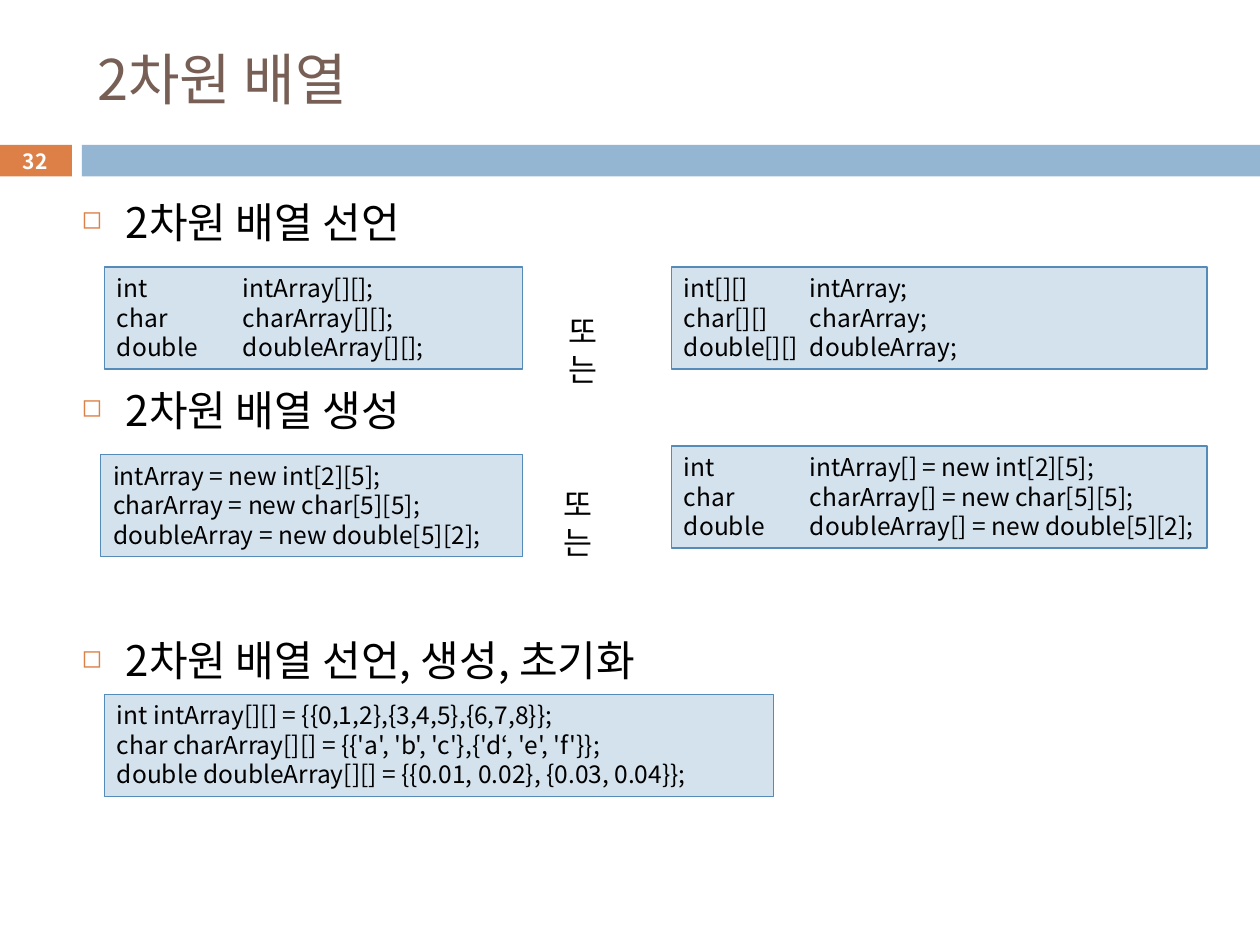
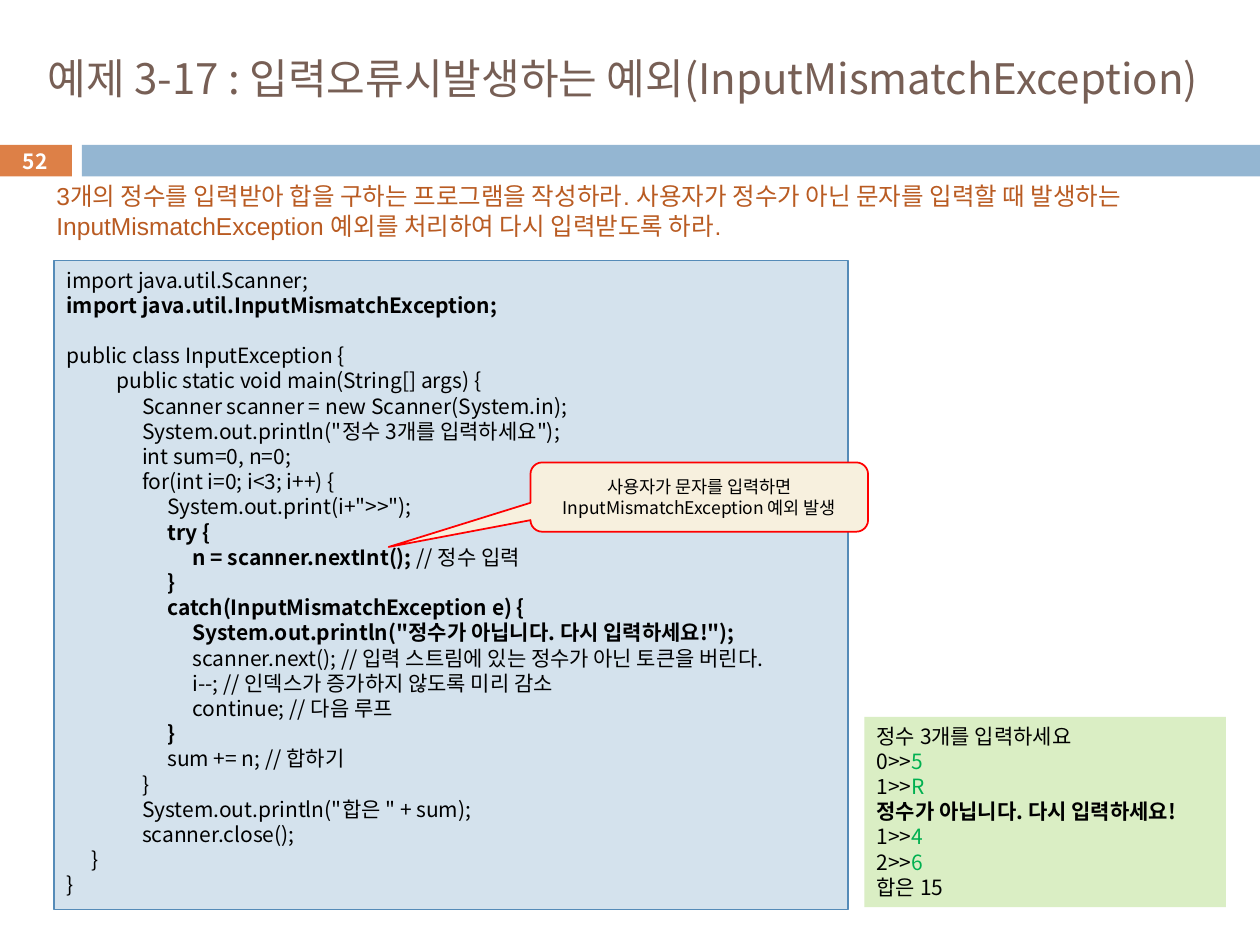
from lxml import etree
from pptx import Presentation
from pptx import util as u
from pptx.dml.color import RGBColor
from pptx.enum import shapes, text
from pptx.oxml.ns import qn

FONT = "Noto Sans CJK KR"
ORANGE, BLUE, BROWN, BLACK, WHITE = "DD8047", "94B6D2", "775F55", "000000", "FFFFFF"
CODE_FILL, CODE_LINE, GREEN = "D4E2ED", "558BB8", "00B050"
BOLD, TYPED = {"bold": True}, {"color": GREEN}
LEFT, CENTER = text.PP_ALIGN.LEFT, text.PP_ALIGN.CENTER
TOP, MIDDLE = text.MSO_ANCHOR.TOP, text.MSO_ANCHOR.MIDDLE
RECTANGLE = shapes.MSO_SHAPE.RECTANGLE


def write(shape, lines, size, color=BLACK, bold=False, font=FONT, align=LEFT,
          anchor=TOP, tab_step=None, gaps=None):
    """Fill a shape with lines; a line is a string or a list of (text, format) runs.

    gaps holds the space before each line and makes the lines a bulleted list.
    """
    frame = shape.text_frame
    frame.word_wrap = True
    frame.auto_size = text.MSO_AUTO_SIZE.NONE
    frame.vertical_anchor = anchor
    for index, line in enumerate(lines):
        paragraph = frame.paragraphs[0] if index == 0 else frame.add_paragraph()
        paragraph.alignment = align
        paragraph.line_spacing = u.Pt(size * 1.2)
        paragraph.space_before = u.Pt(gaps[index] if gaps else 0)
        properties = paragraph._p.get_or_add_pPr()
        if gaps:
            properties.set("marL", str(u.Inches(0.35)))
            properties.set("indent", str(u.Inches(-0.35)))
            bullet_color = etree.SubElement(properties, qn("a:buClr"))
            etree.SubElement(bullet_color, qn("a:srgbClr"), val=ORANGE)
            etree.SubElement(properties, qn("a:buSzPct"), val="60000")
            etree.SubElement(properties, qn("a:buChar"), char="◻")
        if tab_step:
            tabs = etree.SubElement(properties, qn("a:tabLst"))
            for stop in range(1, 6):
                etree.SubElement(tabs, qn("a:tab"), pos=str(u.Inches(tab_step * stop)), algn="l")
        for words, style in [(line, {})] if isinstance(line, str) else line:
            if not words:
                continue
            run = paragraph.add_run()
            run.text = words
            run.font.size = u.Pt(size)
            run.font.bold = style.get("bold", bold)
            run.font.color.rgb = RGBColor.from_string(style.get("color", color))
            run.font.name = font
            etree.SubElement(run._r.get_or_add_rPr(), qn("a:ea"), typeface=FONT)


def add_box(slide, place, fill=None, line=None, line_width=0.75, kind=RECTANGLE):
    """Add a filled shape, or a plain text box when there is no fill."""
    place = [u.Inches(length) for length in place]
    if fill is None:
        return slide.shapes.add_textbox(*place)
    shape = slide.shapes.add_shape(kind, *place)
    shape.shadow.inherit = False
    shape.fill.solid()
    shape.fill.fore_color.rgb = RGBColor.from_string(fill)
    if line:
        shape.line.color.rgb = RGBColor.from_string(line)
        shape.line.width = u.Pt(line_width)
    else:
        shape.line.fill.background()
    return shape


presentation = Presentation()
presentation.slide_width, presentation.slide_height = u.Inches(10), u.Inches(7.5)

# Title, bands and page number of both slides
slides = []
for title_text, title_size, title_left, title_width, number in [
    ("2차원 배열", 32, 0.67, 8.92, "32"),
    ("예제 3-17 : 입력오류시발생하는 예외(InputMismatchException)", 24, 0.28, 9.61, "52"),
]:
    slide = presentation.slides.add_slide(presentation.slide_layouts[5])
    title = slide.shapes.title
    title.left, title.top = u.Inches(title_left), u.Inches(0.25)
    title.width, title.height = u.Inches(title_width), u.Inches(0.74)
    write(title, [title_text], title_size, color=BROWN, anchor=MIDDLE)
    add_box(slide, (0.65, 1.15, 9.35, 0.25), BLUE)
    number_band = add_box(slide, (-0.01, 1.15, 0.58, 0.25), ORANGE)
    write(number_band, [number], 12, color=WHITE, bold=True, align=CENTER, anchor=MIDDLE)
    slides.append(slide)
array_slide, exception_slide = slides

# Two-dimensional arrays: headings with room for the code boxes between them
headings = add_box(array_slide, (0.55, 1.51, 8.92, 5.78))
write(headings, ["2차원 배열 선언", "2차원 배열 생성", "2차원 배열 선언, 생성, 초기화"],
      24, gaps=[0, 78.6, 114.4])

for left, top, width, code in [
    (0.83, 2.12, 3.32, ["int\tintArray[][];", "char\tcharArray[][];", "double\tdoubleArray[][];"]),
    (5.33, 2.12, 4.25, ["int[][]\tintArray;", "char[][]\tcharArray;", "double[][]\tdoubleArray;"]),
    (0.8, 3.61, 3.35, ["intArray = new int[2][5];",
                       "charArray = new char[5][5];",
                       "doubleArray = new double[5][2];"]),
    (5.33, 3.54, 4.25, ["int\tintArray[] = new int[2][5];",
                        "char\tcharArray[] = new char[5][5];",
                        "double\tdoubleArray[] = new double[5][2];"]),
    (0.83, 5.51, 5.31, ["int intArray[][] = {{0,1,2},{3,4,5},{6,7,8}};",
                        "char charArray[][] = {{'a', 'b', 'c'},{'d‘, 'e', 'f'}};",
                        "double doubleArray[][] = {{0.01, 0.02}, {0.03, 0.04}};"]),
]:
    code_box = add_box(array_slide, (left, top, width, 0.81), CODE_FILL, CODE_LINE)
    write(code_box, code, 14, tab_step=1)

for left, top in [(4.41, 2.43), (4.37, 3.8)]:
    write(add_box(array_slide, (left, top, 0.52, 0.7)), ["또는"], 18)

# Input exception example
program = [
    "import java.util.Scanner;",
    [("import java.util.InputMismatchException;", BOLD)],
    "",
    "public class InputException {",
    "\t\tpublic static void main(String[] args) {",
    "\t\t\tScanner scanner = new Scanner(System.in);",
    "\t\t\tSystem.out.println(\"정수 3개를 입력하세요\");",
    "\t\t\tint sum=0, n=0;",
    "\t\t\tfor(int i=0; i<3; i++) {",
    "\t\t\t\tSystem.out.print(i+\">>\");",
    [("\t\t\t\ttry {", BOLD)],
    [("\t\t\t\t\tn = scanner.nextInt(); ", BOLD), ("// 정수 입력", {})],
    [("\t\t\t\t}", BOLD)],
    [("\t\t\t\tcatch(InputMismatchException e) {", BOLD)],
    [("\t\t\t\t\tSystem.out.println(\"정수가 아닙니다. 다시 입력하세요!\");", BOLD)],
    "\t\t\t\t\tscanner.next(); // 입력 스트림에 있는 정수가 아닌 토큰을 버린다.",
    "\t\t\t\t\ti--; // 인덱스가 증가하지 않도록 미리 감소",
    "\t\t\t\t\tcontinue; // 다음 루프",
    [("\t\t\t\t}", BOLD)],
    "\t\t\t\tsum += n; // 합하기",
    "\t\t\t}",
    "\t\t\tSystem.out.println(\"합은 \" + sum);",
    "\t\t\tscanner.close();",
    "\t}",
    "}",
]
program_box = add_box(exception_slide, (0.43, 2.07, 6.3, 5.15), CODE_FILL, CODE_LINE)
write(program_box, program, 12, tab_step=0.2)

task = add_box(exception_slide, (0.35, 1.39, 9.1, 0.57))
write(task, ["3개의 정수를 입력받아 합을 구하는 프로그램을 작성하라. 사용자가 정수가 아닌 문자를 입력할 때 "
             "발생하는 InputMismatchException 예외를 처리하여 다시 입력받도록 하라."],
      14, color="B95B22", font="Arial")

output_box = add_box(exception_slide, (6.86, 5.69, 2.87, 1.51), "DAEEC4")
write(output_box, [
    "정수 3개를 입력하세요",
    [("0>>", {}), ("5", TYPED)],
    [("1>>", {}), ("R", TYPED)],
    [("정수가 아닙니다. 다시 입력하세요!", BOLD)],
    [("1>>", {}), ("4", TYPED)],
    [("2>>", {}), ("6", TYPED)],
    "합은 15",
], 12)

callout = add_box(exception_slide, (4.21, 3.67, 2.68, 0.55), "F7F0DE", "FF0000", 1,
                  shapes.MSO_SHAPE.ROUNDED_RECTANGULAR_CALLOUT)
for index, value in enumerate([-0.92, 0.72, 0.17]):
    callout.adjustments[index] = value
write(callout, ["사용자가 문자를 입력하면", "InputMismatchException 예외 발생"],
      10, align=CENTER, anchor=MIDDLE)

presentation.save("out.pptx")
